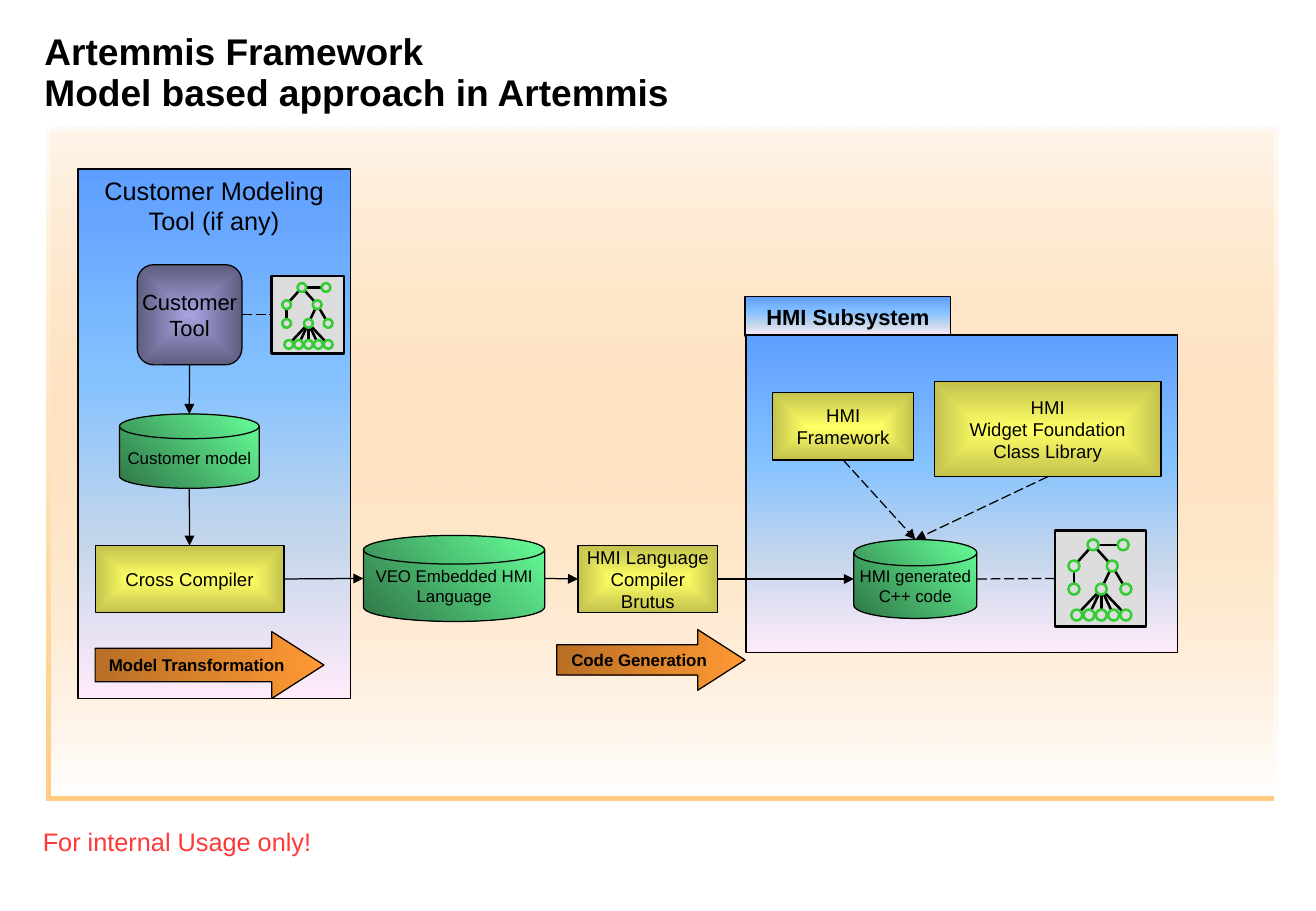
import pptx
import pptx.dml.color
import pptx.enum.dml
import pptx.enum.shapes
import pptx.enum.text
import pptx.oxml
import pptx.oxml.ns
import pptx.util

COLS, ROWS = 130, 90
UNIT = pptx.util.Inches(1) / 12
KIND = pptx.enum.shapes.MSO_SHAPE
ALIGN = pptx.enum.text.PP_ALIGN
ANCHOR = pptx.enum.text.MSO_ANCHOR
DISK = KIND.FLOWCHART_MAGNETIC_DISK
TOP, LEFT, BOTTOM, RIGHT = range(4)
BLACK, GREY, GREEN = "000000", "DDDDDD", "33CC33"
DOWN = '<a:lin ang="5400000" scaled="0"/>'
RISE = '<a:lin ang="18900000" scaled="0"/>'
ACROSS = '<a:lin ang="0" scaled="0"/>'
CORE = '<a:path path="shape"><a:fillToRect l="50000" t="50000" r="50000" b="50000"/></a:path>'
SKY = ([(0, "5E9EFF"), (40, "85C2FF"), (70, "C4D6EB"), (100, "FFEBFA")], DOWN)
LILAC = ([(0, "A7A4E0"), (100, "5E5C7E")], CORE)
YELLOW = ([(0, "FFFF66"), (100, "C2C24E")], CORE)
MINT = ([(0, "2F7647"), (100, "66FF99")], RISE)
AMBER = ([(0, "B96F25"), (100, "FF9933")], ACROSS)
PEACH = ([(0, "FFCC99", 10), (100, "FFFFFF")], DOWN)
NODES = [(0.42, 0.15), (0.75, 0.15), (0.21, 0.37), (0.63, 0.37),
         (0.21, 0.61), (0.51, 0.61), (0.78, 0.61)]
NODES += [(0.24 + 0.135 * leaf, 0.88) for leaf in range(5)]
EDGES = [(0, 1), (0, 2), (0, 3), (2, 4), (3, 5), (3, 6)]
EDGES += [(5, leaf) for leaf in range(7, 12)]


def grid(*cells):
    """Turn grid units into slide lengths."""
    return [pptx.util.Emu(round(cell * UNIT)) for cell in cells]


def color(code):
    """Turn a hex string into a colour."""
    return pptx.dml.color.RGBColor.from_string(code)


def parse(body):
    """Build a drawing element from its markup."""
    tag = body[1:].split(">")[0].split(" ")[0].rstrip("/")
    space = pptx.oxml.ns.nsdecls("a")
    return pptx.oxml.parse_xml(body.replace(tag, f"{tag} {space}", 1))


def blend(shape, stops, way):
    """Fill a shape with a gradient."""
    marks = ""
    for at, code, *alpha in stops:
        veil = "".join(f'<a:alpha val="{part * 1000}"/>' for part in alpha)
        marks += f'<a:gs pos="{at * 1000}"><a:srgbClr val="{code}">{veil}</a:srgbClr></a:gs>'
    geom = shape.element.spPr.find(pptx.oxml.ns.qn("a:prstGeom"))
    geom.addnext(parse(f"<a:gradFill><a:gsLst>{marks}</a:gsLst>{way}</a:gradFill>"))


def write(shape, text, size, bold=False, ink=BLACK, align=ALIGN.CENTER, anchor=ANCHOR.MIDDLE):
    """Set and format the text of a shape."""
    frame = shape.text_frame
    frame.text = text
    frame.word_wrap = False
    frame.vertical_anchor = anchor
    if anchor == ANCHOR.MIDDLE:
        frame.margin_top = frame.margin_bottom = 0
    for para in frame.paragraphs:
        para.alignment = align
        for run in para.runs:
            run.font.name, run.font.size = "Arial", pptx.util.Pt(size)
            run.font.bold, run.font.color.rgb = bold, color(ink)


def box(slide, kind, place, fill, edge=BLACK, width=0.75):
    """Add a shape with a plain or gradient fill."""
    shape = slide.shapes.add_shape(kind, *grid(*place))
    if isinstance(fill, str):
        shape.fill.solid()
        shape.fill.fore_color.rgb = color(fill)
    else:
        blend(shape, *fill)
    if edge:
        shape.line.color.rgb = color(edge)
        shape.line.width = pptx.util.Pt(width)
    else:
        shape.line.fill.background()
    shape.shadow.inherit = False
    return shape


def label(slide, kind, place, fill, text, size, **style):
    """Add a shape that holds text."""
    shape = box(slide, kind, place, fill)
    write(shape, text, size, **style)
    return shape


def stroke(slide, start, end, width=0.75):
    """Add a straight black line between two points."""
    line = slide.shapes.add_connector(
        pptx.enum.shapes.MSO_CONNECTOR.STRAIGHT, *start, *end)
    line.line.color.rgb = color(BLACK)
    line.line.width = pptx.util.Pt(width)
    line.element.spPr.append(parse("<a:effectLst/>"))
    return line


def middle(shape, side):
    """Find the middle of one side of a shape."""
    across = {LEFT: 0, RIGHT: shape.width}.get(side, shape.width // 2)
    down = {TOP: 0, BOTTOM: shape.height}.get(side, shape.height // 2)
    return shape.left + across, shape.top + down


def link(slide, start, end, dash=False, head=True):
    """Link the sides of two shapes."""
    line = stroke(slide, middle(*start), middle(*end))
    if dash:
        line.line.dash_style = pptx.enum.dml.MSO_LINE.LONG_DASH
    if head:
        line.line._get_or_add_ln().append(parse('<a:tailEnd type="triangle"/>'))
    for join, (shape, side) in ((line.begin_connect, start), (line.end_connect, end)):
        if shape.auto_shape_type != DISK:
            join(shape, side)


def tree(slide, left, top, width, height):
    """Draw a tile with a small node tree."""
    tile = box(slide, KIND.RECTANGLE, (left, top, width, height), GREY, width=1.5)
    spots = [(left + x * width, top + y * height) for x, y in NODES]
    size = 0.12 * width
    for a, b in EDGES:
        stroke(slide, grid(*spots[a]), grid(*spots[b]), 1.5)
    for x, y in spots:
        box(slide, KIND.OVAL, (x - size / 2, y - size / 2, size, size), GREY, GREEN, 1.5)
    return tile


def frame(slide):
    """Add the backdrop, the title and the footer."""
    back = box(slide, KIND.RECTANGLE, (5.04, 12.5, 121.3, 66.1), PEACH, None)
    glow = back.element.spPr.find(pptx.oxml.ns.qn("a:effectLst"))
    glow.append(parse('<a:outerShdw dist="53340" dir="8100000" algn="ctr" rotWithShape="0">'
                      '<a:srgbClr val="FF9900"><a:alpha val="50000"/></a:srgbClr></a:outerShdw>'))
    foot = slide.shapes.add_textbox(*grid(3, 81, 29, 4.2))
    write(foot, "For internal Usage only!", 15, ink="FF3737", anchor=ANCHOR.TOP)
    title = slide.shapes.add_textbox(*grid(4.4, 3, 121.2, 8.3))
    write(title, "Artemmis Framework\vModel based approach in Artemmis", 22, True,
          align=ALIGN.LEFT, anchor=ANCHOR.BOTTOM)
    text = title.text_frame
    text.word_wrap = True
    text.margin_left = text.margin_right = text.margin_top = text.margin_bottom = 0
    text.paragraphs[0].line_spacing = pptx.util.Pt(24.8)


def main():
    """Build the slide and save it."""
    deck = pptx.Presentation()
    deck.slide_width, deck.slide_height = grid(COLS, ROWS)
    slide = deck.slides.add_slide(deck.slide_layouts[6])
    frame(slide)
    rect, step = KIND.RECTANGLE, KIND.FLOWCHART_PROCESS
    label(slide, rect, (7.7, 16.7, 26.9, 52.3), SKY,
          "Customer Modeling\nTool (if any)", 15, anchor=ANCHOR.TOP)
    tool = label(slide, KIND.ROUNDED_RECTANGLE, (13.55, 26.15, 10.35, 9.9), LILAC,
                 "Customer\vTool", 13)
    model = label(slide, DISK, (11.8, 40.9, 13.8, 7.35), MINT, "Customer model", 10)
    cross = label(slide, step, (9.4, 53.9, 18.65, 6.6), YELLOW, "Cross Compiler", 11)
    lingo = label(slide, DISK, (35.9, 52.9, 17.9, 8.5), MINT,
                  "VEO Embedded HMI\vLanguage", 10)
    brutus = label(slide, step, (57.1, 53.9, 13.8, 6.6), YELLOW,
                   "HMI Language\vCompiler\nBrutus", 11)
    label(slide, rect, (73.6, 29.3, 20.3, 3.9), SKY, "HMI Subsystem", 13, bold=True)
    box(slide, rect, (73.7, 33.1, 42.6, 31.35), SKY)
    code = label(slide, DISK, (84.35, 53.3, 12.15, 7.8), MINT,
                 "HMI generated\vC++ code", 10)
    work = label(slide, rect, (76.35, 38.8, 13.9, 6.65), YELLOW, "HMI\nFramework", 11)
    widget = label(slide, rect, (92.3, 37.7, 22.4, 9.4), YELLOW,
                   "HMI\nWidget Foundation\nClass Library", 11)
    for place, text in (((55, 62.2, 18.6, 6), "Code Generation"),
                        ((9.4, 62.4, 22.6, 6.6), "Model Transformation")):
        arrow = label(slide, KIND.RIGHT_ARROW, place, AMBER, text, 10, bold=True)
        arrow.adjustments[1] = 0.78
    small = tree(slide, 26.8, 27.25, 7.2, 7.7)
    large = tree(slide, 104.2, 52.4, 9, 9.5)
    for a, b in ((tool, model), (model, cross)):
        link(slide, (a, BOTTOM), (b, TOP))
    for a, b in ((cross, lingo), (lingo, brutus), (brutus, code)):
        link(slide, (a, RIGHT), (b, LEFT))
    for part in (work, widget):
        link(slide, (part, BOTTOM), (code, TOP), dash=True)
    for a, b in ((tool, small), (code, large)):
        link(slide, (a, RIGHT), (b, LEFT), dash=True, head=False)
    deck.save("out.pptx")


if __name__ == "__main__":
    main()
